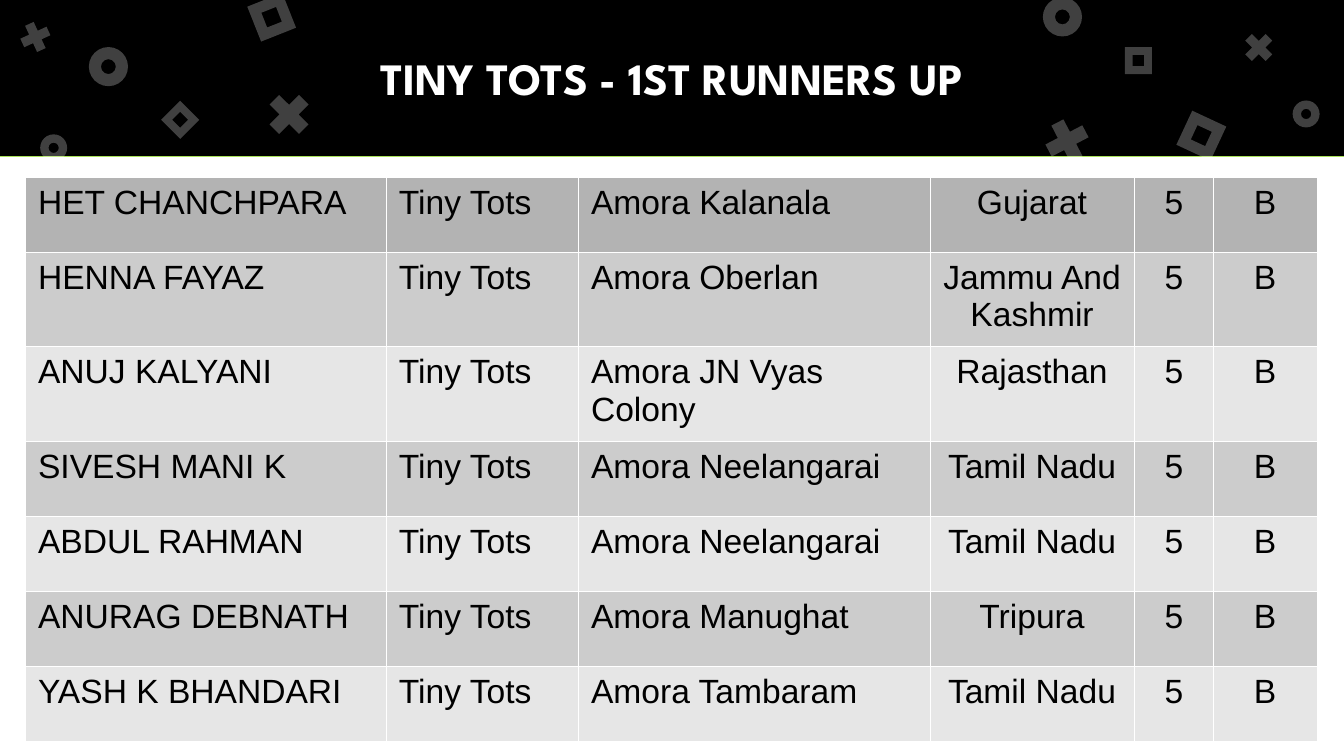
from lxml.etree import SubElement
from pptx import Presentation
from pptx.dml.color import RGBColor
from pptx.enum.shapes import MSO_SHAPE as Preset
from pptx.enum.text import MSO_ANCHOR as Anchor, PP_ALIGN as Align
from pptx.oxml.ns import qn
from pptx.util import Cm, Pt

BLACK = RGBColor(0x00, 0x00, 0x00)
WHITE = RGBColor(0xFF, 0xFF, 0xFF)
LIME = RGBColor(0x7B, 0xD1, 0x00)
HEADER_GREY = RGBColor(0xB3, 0xB3, 0xB3)
MID_GREY = RGBColor(0xCC, 0xCC, 0xCC)
LIGHT_GREY = RGBColor(0xE6, 0xE6, 0xE6)

WIDTH, HEIGHT, BAND = 25.4, 14.29, 2.95

DONUTS = [(1.68, 0.89, 0.74, 0), (19.71, -0.05, 0.74, 0),
          (0.76, 2.54, 0.51, 0), (24.43, 1.9, 0.51, 0)]
CROSSES = [(4.93, 1.63, 1.07, 0), (19.63, 2.13, 1.07, 17.5),
           (0.3, 0.33, 0.74, 20.4), (23.42, 0.53, 0.74, 0)]
FRAMES = [(4.78, -0.03, 0.71, 338.4), (22.35, 2.21, 0.71, 25),
          (3.15, 2.01, 0.51, 45), (21.26, 0.89, 0.51, 0)]
CONFETTI = [(Preset.DONUT, 0.31, DONUTS),
            (Preset.MATH_MULTIPLY, 0.24, CROSSES),
            (Preset.FRAME, 0.29, FRAMES)]

RUNNERS_UP = [
    ("HET CHANCHPARA", "Amora Kalanala", "Gujarat"),
    ("HENNA FAYAZ", "Amora Oberlan", "Jammu And Kashmir"),
    ("ANUJ KALYANI", "Amora JN Vyas Colony", "Rajasthan"),
    ("SIVESH MANI K", "Amora Neelangarai", "Tamil Nadu"),
    ("ABDUL RAHMAN", "Amora Neelangarai", "Tamil Nadu"),
    ("ANURAG DEBNATH", "Amora Manughat", "Tripura"),
    ("YASH K BHANDARI", "Amora Tambaram", "Tamil Nadu"),
]
COLUMNS = [6.82, 3.63, 6.65, 3.87, 1.49, 1.96]
ROWS = [1.42, 1.69, 1.69, 1.42, 1.42, 1.42, 1.42]
ALIGNS = [Align.LEFT] * 3 + [Align.CENTER] * 3


def write(frame, text, font="Arial", size=18, color=BLACK, bold=False, align=Align.LEFT):
    para = frame.paragraphs[0]
    para.alignment = align
    span = para.add_run()
    span.text = text
    span.font.name = font
    span.font.size = Pt(size)
    span.font.bold = bold
    span.font.color.rgb = color


class Painter:
    """Draws styled elements on the current slide."""

    def __init__(self, page):
        self.page = page
        self.border = WHITE
        self.border_width = Pt(0.06)

    def shape(self, preset, left, top, width, height, color):
        shape = self.page.shapes.add_shape(preset, Cm(left), Cm(top), Cm(width), Cm(height))
        shape.shadow.inherit = False
        shape.fill.solid()
        shape.fill.fore_color.rgb = color
        shape.line.fill.background()
        return shape

    def mark(self, preset, thickness, left, top, size, angle):
        shape = self.shape(preset, left, top, size, size, WHITE)
        shape.adjustments[0] = thickness
        shape.rotation = angle
        tint = shape._element.spPr.find(qn("a:solidFill"))[0]
        SubElement(tint, qn("a:alpha"), val="25000")

    def title(self, text, left, top, width, height):
        box = self.page.shapes.add_textbox(Cm(left), Cm(top), Cm(width), Cm(height))
        frame = box.text_frame
        frame.word_wrap = True
        frame.vertical_anchor = Anchor.MIDDLE
        frame.margin_left = frame.margin_right = Cm(0.25)
        frame.margin_top = frame.margin_bottom = Cm(0.25)
        write(frame, text, font="League Spartan", size=24, color=WHITE, bold=True,
              align=Align.CENTER)

    def cell(self, cell, text, color, align):
        properties = cell._tc.get_or_add_tcPr()
        for side in ("lnL", "lnR", "lnT", "lnB"):
            line = SubElement(properties, qn(f"a:{side}"), w=str(self.border_width))
            fill = SubElement(line, qn("a:solidFill"))
            SubElement(fill, qn("a:srgbClr"), val=str(self.border))
        cell.fill.solid()
        cell.fill.fore_color.rgb = color
        cell.margin_left = cell.margin_right = Cm(0.25)
        cell.margin_top = cell.margin_bottom = Cm(0.13)
        write(cell.text_frame, text, align=align)

    def table(self, records, left, top):
        table = self.page.shapes.add_table(
            len(ROWS), len(COLUMNS), Cm(left), Cm(top),
            Cm(sum(COLUMNS)), Cm(sum(ROWS))).table
        for column, width in zip(table.columns, COLUMNS):
            column.width = Cm(width)
        for index, (row, height, record) in enumerate(zip(table.rows, ROWS, records)):
            row.height = Cm(height)
            stripe = MID_GREY if index % 2 else LIGHT_GREY
            color = stripe if index else HEADER_GREY
            for cell, text, align in zip(row.cells, record, ALIGNS):
                self.cell(cell, text, color, align)


def main():
    deck = Presentation()
    deck.slide_width, deck.slide_height = Cm(WIDTH), Cm(HEIGHT)
    page = deck.slides.add_slide(deck.slide_layouts[6])
    page.background.fill.solid()
    page.background.fill.fore_color.rgb = LIME

    painter = Painter(page)
    painter.shape(Preset.RECTANGLE, 0, 0, WIDTH, BAND, BLACK)
    painter.shape(Preset.RECTANGLE, 0, BAND + 0.01, WIDTH, HEIGHT - BAND - 0.01, WHITE)
    for preset, thickness, places in CONFETTI:
        for place in places:
            painter.mark(preset, thickness, *place)
    painter.title("TINY TOTS - 1ST RUNNERS UP", 1.27, 0, 22.86, BAND)
    records = [(name, "Tiny Tots", centre, state, "5", "B")
               for name, centre, state in RUNNERS_UP]
    painter.table(records, 0.47, 3.34)
    deck.save("out.pptx")


if __name__ == "__main__":
    main()
